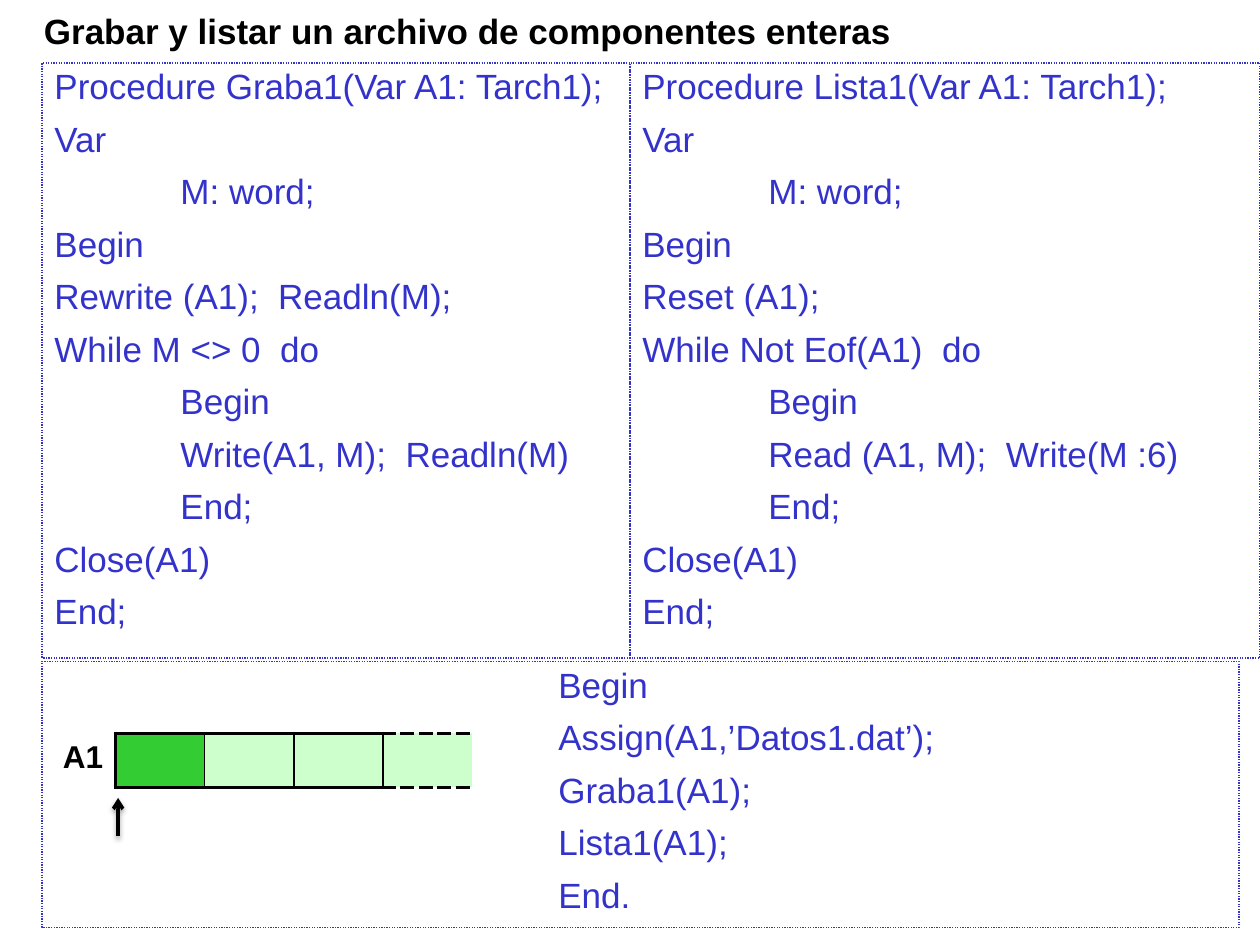
from lxml.etree import SubElement as Sub
from pptx import Presentation
from pptx.dml.color import RGBColor
from pptx.enum.dml import MSO_LINE as Dash
from pptx.enum.shapes import MSO_CONNECTOR as Conn, MSO_SHAPE as Shape
from pptx.enum.text import MSO_ANCHOR as Anchor, PP_ALIGN as Align
from pptx.oxml.ns import qn
from pptx.util import Pt

BLUE, BLACK, GREEN, PALE = "3333CC", "000000", "33CC33", "CCFFCC"

GRABA = """Procedure Graba1(Var A1: Tarch1);
Var
>M: word;
Begin
Rewrite (A1);  Readln(M);
While M <> 0  do
>Begin
>Write(A1, M);  Readln(M)
>End;
Close(A1)
End;"""

LISTA = """Procedure Lista1(Var A1: Tarch1);
Var
>M: word;
Begin
Reset (A1);
While Not Eof(A1)  do
>Begin
>Read (A1, M);  Write(M :6)
>End;
Close(A1)
End;"""

MAIN = """>>>>Begin
>>>>Assign(A1,’Datos1.dat’);
>>>>Graba1(A1);
>>>>Lista1(A1);
>>>>End."""


def color(code):
    return RGBColor.from_string(code)


def write(frame, text, size=20, ink=BLACK, bold=False, align=Align.LEFT,
          pitch=1, gap=0, top=3.6):
    frame.word_wrap = True
    frame.vertical_anchor = Anchor.TOP
    frame.margin_top = Pt(top)
    for i, line in enumerate(text.split("\n")):
        par = frame.paragraphs[0] if i == 0 else frame.add_paragraph()
        words = line.lstrip(">")
        depth = len(line) - len(words)
        if depth:
            par._p.get_or_add_pPr().set("marL", str(Pt(72 * depth)))
        par.alignment = align
        par.line_spacing = pitch
        par.space_before = Pt(gap if i else 0)
        run = par.add_run()
        run.text = words
        font = run.font
        font.name, font.size, font.bold = "Arial", Pt(size), bold
        font.color.rgb = color(ink)


class Board:
    def __init__(self, slide):
        self.slide = slide
        self.shapes = slide.shapes
        self.code = dict(ink=BLUE, pitch=0.8, gap=10.8, top=5.6)

    def title(self, text, *place):
        box = self.shapes.add_textbox(*map(Pt, place))
        write(box.text_frame, text, bold=True, top=5.6)

    def panel(self, text, *place):
        box = self.shapes.add_shape(Shape.RECTANGLE, *map(Pt, place))
        box.shadow.inherit = False
        box.fill.background()
        box.line.color.rgb = color(BLUE)
        box.line.width = Pt(0.75)
        box.line.dash_style = Dash.ROUND_DOT
        write(box.text_frame, text, **self.code)

    def edge(self, cell, side, width, dash="solid"):
        line = Sub(cell._tc.get_or_add_tcPr(), qn("a:ln" + side), w=str(Pt(width)))
        if not width:
            Sub(line, qn("a:noFill"))
            return
        fill = Sub(line, qn("a:solidFill"))
        Sub(fill, qn("a:srgbClr"), val=BLACK)
        Sub(line, qn("a:prstDash"), val=dash)

    def tape(self, label, fills, left, top, head, step, high):
        count = len(fills)
        wide = head + step * count
        grid = self.shapes.add_table(1, count + 1, *map(Pt, (left, top, wide, high))).table
        grid.first_row = grid.horz_banding = False
        for i, col in enumerate(grid.columns):
            col.width = Pt(step if i else head)
        thick = [0, 2.25] + [1] * (count - 1) + [0]
        for i, tone in enumerate([None, *fills]):
            cell = grid.cell(0, i)
            dash = "sysDash" if i == count else "solid"
            rim = 2.25 if i else 0
            self.edge(cell, "L", thick[i])
            self.edge(cell, "R", thick[i + 1])
            self.edge(cell, "T", rim, dash)
            self.edge(cell, "B", rim, dash)
            if tone:
                cell.fill.solid()
                cell.fill.fore_color.rgb = color(tone)
            else:
                cell.fill.background()
        write(grid.cell(0, 0).text_frame, label, size=18, bold=True, align=Align.RIGHT)

    def arrow(self, *ends):
        line = self.shapes.add_connector(Conn.STRAIGHT, *map(Pt, ends))
        line.line.color.rgb = color(BLACK)
        line.line.width = Pt(2)
        Sub(line.line._get_or_add_ln(), qn("a:tailEnd"), type="arrow")
        glow = Sub(line._element.spPr, qn("a:effectLst"))
        shade = Sub(glow, qn("a:outerShdw"), blurRad=str(Pt(3.1)),
                    dist=str(Pt(1.6)), dir="5400000", rotWithShape="0")
        tone = Sub(shade, qn("a:srgbClr"), val=BLACK)
        Sub(tone, qn("a:alpha"), val="38000")


def main():
    deck = Presentation()
    deck.slide_width, deck.slide_height = Pt(720), Pt(540)
    board = Board(deck.slides.add_slide(deck.slide_layouts[6]))
    board.title("Grabar y listar un archivo de componentes enteras", 18, 0, 702, 31)
    board.panel(GRABA, 24, 36, 336, 340)
    board.panel(LISTA, 360, 36, 360, 340)
    board.panel(MAIN, 24, 378, 684, 152)
    board.tape("A1", [GREEN, PALE, PALE, PALE], 11.5, 419, 54.6, 50.9, 31)
    board.arrow(67.5, 478, 67.5, 456)
    deck.save("out.pptx")


if __name__ == "__main__":
    main()
